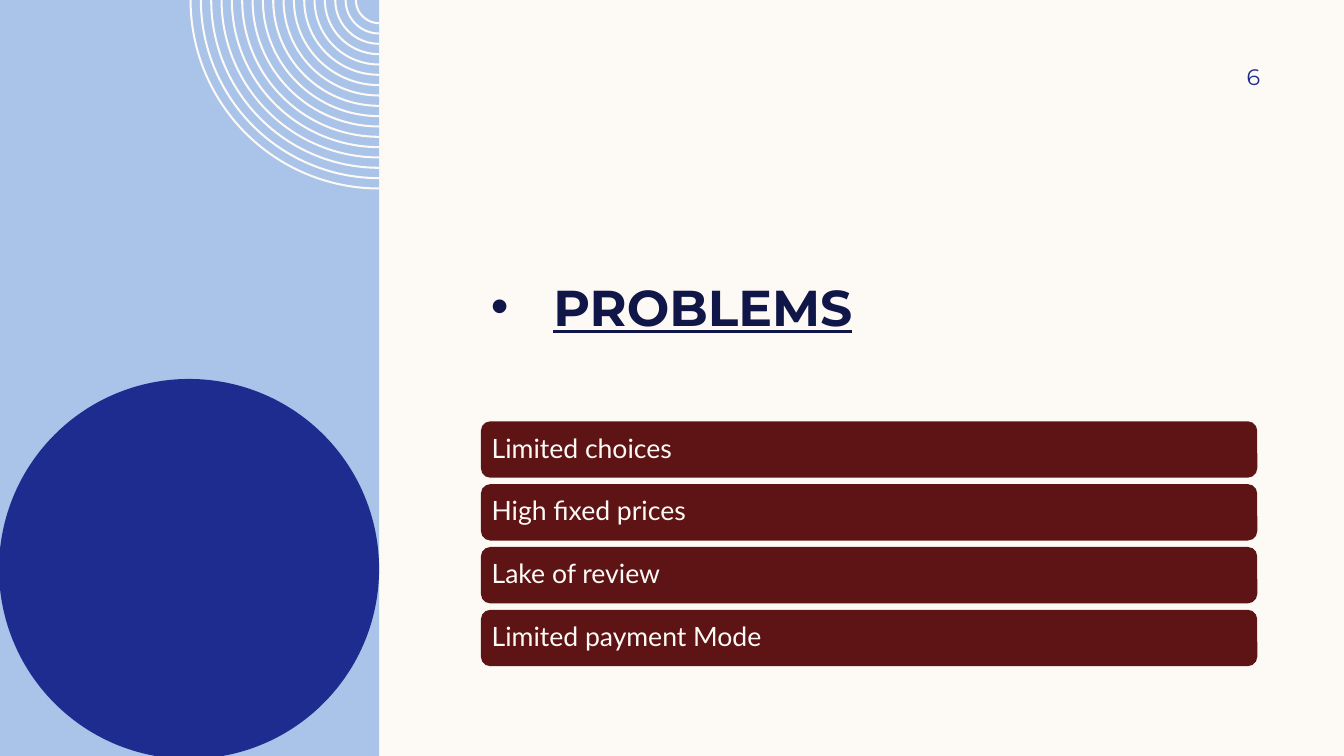
from dataclasses import dataclass

from lxml.etree import SubElement
from pptx import Presentation
from pptx.dml.color import RGBColor
from pptx.enum.shapes import MSO_SHAPE
from pptx.enum.text import MSO_ANCHOR, PP_ALIGN
from pptx.oxml.ns import qn
from pptx.util import Inches, Pt


@dataclass(frozen=True)
class Theme:
    cream: RGBColor = RGBColor.from_string("FDFAF6")
    sky: RGBColor = RGBColor.from_string("AAC3E8")
    blue: RGBColor = RGBColor.from_string("1F2C8F")
    navy: RGBColor = RGBColor.from_string("101648")
    maroon: RGBColor = RGBColor.from_string("5E1315")
    heading_font: str = "Montserrat"
    body_font: str = "Lato"
    title_size: Pt = Pt(36)
    number_size: Pt = Pt(16)
    item_size: Pt = Pt(19)


theme = Theme()


def paint(shape, color):
    shape.shadow.inherit = False
    shape.fill.solid()
    shape.fill.fore_color.rgb = color
    shape.line.fill.background()


def write(shape, text, font, size, color, anchor, insets):
    frame = shape.text_frame
    frame.word_wrap = True
    frame.vertical_anchor = anchor
    (frame.margin_left, frame.margin_top,
     frame.margin_right, frame.margin_bottom) = [Inches(inset) for inset in insets]
    paragraph = frame.paragraphs[0]
    paragraph.text = text
    paragraph.alignment = PP_ALIGN.LEFT
    paragraph.font.name = font
    paragraph.font.size = size
    paragraph.font.color.rgb = color
    return paragraph


presentation = Presentation()
presentation.slide_width = Inches(13.33)
presentation.slide_height = Inches(7.5)
slide = presentation.slides.add_slide(presentation.slide_layouts[6])
slide.background.fill.solid()
slide.background.fill.fore_color.rgb = theme.cream
shapes = slide.shapes

panel_right = Inches(3.76)
side_panel = shapes.add_shape(MSO_SHAPE.RECTANGLE, 0, 0, panel_right, Inches(7.5))
paint(side_panel, theme.sky)

ring_count = 17
largest, smallest = Inches(1.88), Inches(0.24)
ring_step = (largest - smallest) / (ring_count - 1)
radii = [round(largest - ring * ring_step) for ring in range(ring_count)]
ring_builder = shapes.build_freeform(panel_right - largest, 0)
for outer in radii:
    inner = outer - Inches(0.02)
    ring_builder.move_to(panel_right - outer, 0)
    ring_builder.add_line_segments(
        [(panel_right, outer), (panel_right, inner), (panel_right - inner, 0)], close=True)
rings = ring_builder.convert_to_shape()
paint(rings, theme.cream)

quarter = 90 * 60000
edges = list(rings._element.iter(qn("a:lnTo")))
for outer, outer_edge, inner_edge in zip(radii, edges[::3], edges[2::3]):
    for edge, radius, start, sweep in (
            (outer_edge, outer, 2 * quarter, -quarter),
            (inner_edge, outer - Inches(0.02), quarter, quarter)):
        arc = edge.makeelement(qn("a:arcTo"), {
            "wR": str(radius), "hR": str(radius), "stAng": str(start), "swAng": str(sweep)})
        edge.getparent().replace(edge, arc)

disc = shapes.add_shape(
    MSO_SHAPE.OVAL, Inches(-0.01), Inches(3.76), Inches(3.77), Inches(3.77))
paint(disc, theme.blue)

heading = shapes.add_textbox(Inches(4.77), Inches(1.16), Inches(7.7), Inches(2.18))
problems = write(heading, "PROBLEMS", theme.heading_font, theme.title_size,
                 theme.navy, MSO_ANCHOR.BOTTOM, (0.1, 0, 0.1, 0))
problems.font.bold = True
problems.font.underline = True
bullet_format = problems._p.get_or_add_pPr()
bullet_format.set("marL", str(Inches(0.62)))
bullet_format.set("indent", str(Inches(-0.62)))
SubElement(bullet_format, qn("a:buFont"), typeface="Arial")
SubElement(bullet_format, qn("a:buChar"), char="•")
bullet_format.append(bullet_format.find(qn("a:defRPr")))

page_number = shapes.add_textbox(Inches(11.42), Inches(0.5), Inches(1.08), Inches(0.52))
write(page_number, "6", theme.heading_font, theme.number_size, theme.blue,
      MSO_ANCHOR.MIDDLE, (0.1, 0.05, 0, 0.05)).alignment = PP_ALIGN.RIGHT

items = ["Limited choices", "High fixed prices", "Lake of review", "Limited payment Mode"]
bar_pitch = Inches(6.05 - 4.18) / (len(items) - 1)
for row, item in enumerate(items):
    bar = shapes.add_shape(MSO_SHAPE.ROUNDED_RECTANGLE, Inches(4.77),
                           round(Inches(4.18) + row * bar_pitch), Inches(7.7), Inches(0.56))
    paint(bar, theme.maroon)
    write(bar, item, theme.body_font, theme.item_size, theme.cream,
          MSO_ANCHOR.MIDDLE, (0.08, 0.08, 0.08, 0.08)).line_spacing = 0.9

presentation.save("out.pptx")
